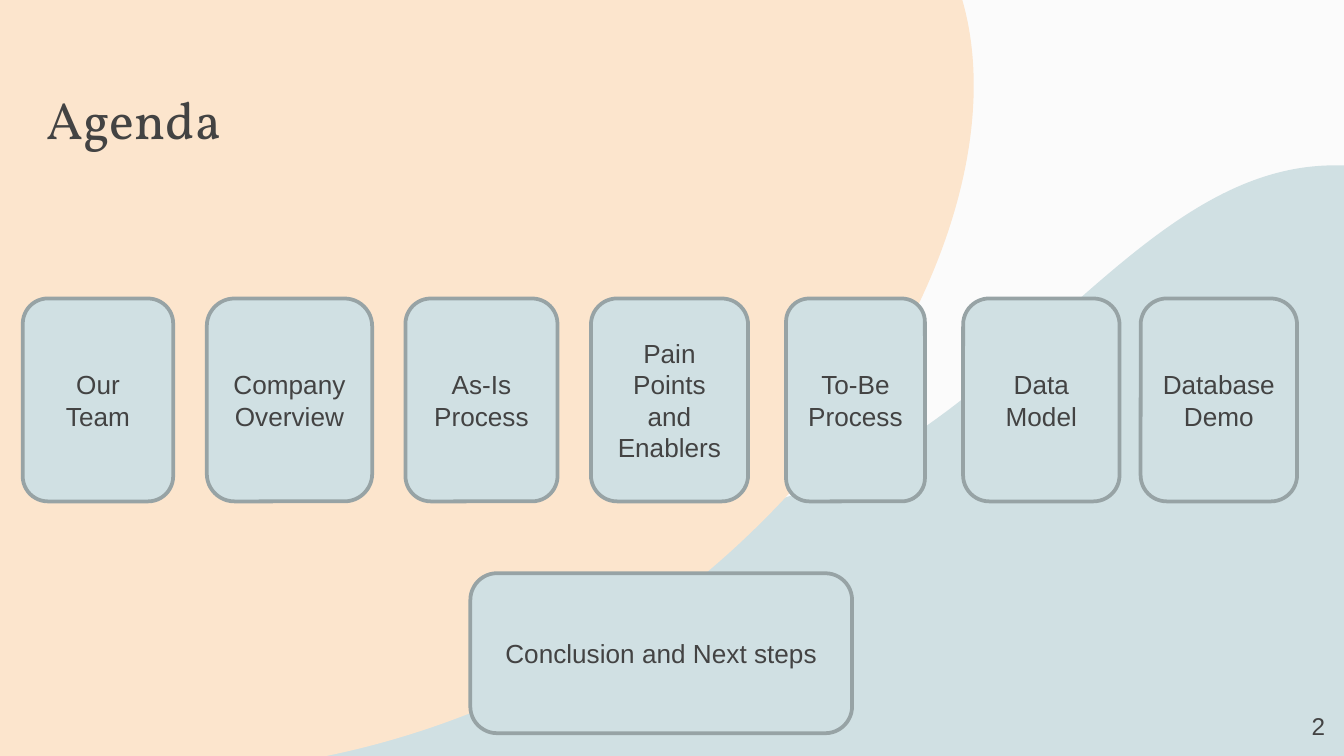
from lxml import etree
from pptx import Presentation
from pptx.dml.color import RGBColor
from pptx.enum.shapes import MSO_SHAPE
from pptx.enum.text import MSO_ANCHOR, MSO_AUTO_SIZE, PP_ALIGN
from pptx.oxml.ns import qn
from pptx.util import Pt

ROUNDED = MSO_SHAPE.ROUNDED_RECTANGLE
TOP, MIDDLE = MSO_ANCHOR.TOP, MSO_ANCHOR.MIDDLE
LEFT, CENTER, RIGHT = PP_ALIGN.LEFT, PP_ALIGN.CENTER, PP_ALIGN.RIGHT
NO_AUTOFIT = MSO_AUTO_SIZE.NONE

WIDTH, HEIGHT = 720, 405
PAPER, PEACH, MIST, SLATE, INK = "FBFBFB", "FCE5CD", "D0E0E3", "97A3A5", "434343"
ROW_TOP, ROW_HEIGHT = 159.9, 108.7

TOPICS = [
    ("Our Team", 12.2, 80.6),
    ("Company Overview", 110.8, 88.6),
    ("As-Is Process", 217.2, 81.5),
    ("Pain Points and Enablers", 316.6, 84.2),
    ("To-Be Process", 421.1, 74.4),
    ("Data Model", 516, 83.8),
    ("Database Demo", 611.1, 83.8),
]

MIST_HILL = [
    [(715, 88.6)],
    [(609.8, 88.6), (544.3, 228.2), (421.2, 266.4)],
    [(398.9, 272.9), (378.7, 275.8), (360.7, 275.8)],
    [(254.9, 275.8), (205.9, 175), (54, 161.3)],
    [(46.1, 160.6), (38.2, 160.6), (30.2, 160.6)],
    [(19.4, 160.6), (9.4, 161.3), (0, 162)],
    [(0, HEIGHT)],
    [(WIDTH, HEIGHT)],
    [(WIDTH, 88.6)],
    [(718.6, 88.6), (716.4, 88.6), (715, 88.6)],
]
PEACH_BLOB = [
    [(0, 0)],
    [(0, 408.2)],
    [(26.6, 412.6), (53.3, 414.7), (79.9, 414.7)],
    [(197.3, 414.7), (313.9, 370.8), (402.5, 285.1)],
    [(495.4, 195.8), (538.6, 79.9), (515.5, 0)],
]


def color(hex_code):
    """Return the colour for a hex string."""
    return RGBColor.from_string(hex_code)


def bend_lines(blob, segments):
    """Turn each run of three lines that stands for a curve into a cubic curve."""
    lines = iter(list(blob._element.iter(qn("a:lnTo"))))
    for segment in segments[1:]:
        group = [next(lines) for _ in segment]
        if len(group) == 3:
            curve = etree.Element(qn("a:cubicBezTo"))
            group[0].addprevious(curve)
            for line in group:
                curve.append(line[0])
                line.getparent().remove(line)


def add_blob(page, segments, fill):
    """Draw a closed outline of lines and curves."""
    places = [(Pt(x), Pt(y)) for segment in segments for x, y in segment]
    builder = page.shapes.build_freeform(*places[0])
    builder.add_line_segments(places[1:], close=True)
    blob = builder.convert_to_shape()
    bend_lines(blob, segments)
    blob.shadow.inherit = False
    blob.fill.solid()
    blob.fill.fore_color.rgb = color(fill)
    blob.line.fill.background()


def write(box, text, size=14, font="Arial", align=LEFT, anchor=TOP, inset=7.2):
    """Put formatted text in a box."""
    frame = box.text_frame
    frame.word_wrap = True
    frame.auto_size = NO_AUTOFIT
    frame.vertical_anchor = anchor
    frame.margin_left = frame.margin_right = Pt(7.2)
    frame.margin_top = frame.margin_bottom = Pt(inset)
    para = frame.paragraphs[0]
    para.alignment = align
    para.line_spacing = 1
    para.space_before = Pt(0)
    span = para.add_run()
    span.text = text
    span.font.size = Pt(size)
    span.font.name = font
    span.font.color.rgb = color(INK)


def add_title(page, text):
    """Place and format the page title in front of the background."""
    title = page.shapes.title
    title.left, title.top, title.width, title.height = Pt(17.6), Pt(39.6), Pt(498.2), Pt(45.4)
    write(title, text, size=28, font="Vollkorn")
    page.shapes._spTree.append(title._element)


def add_card(page, text, left, top, width, height):
    """Draw a rounded agenda card."""
    card = page.shapes.add_shape(ROUNDED, Pt(left), Pt(top), Pt(width), Pt(height))
    card.adjustments[0] = 0.167
    card.shadow.inherit = False
    card.fill.solid()
    card.fill.fore_color.rgb = color(MIST)
    card.line.color.rgb = color(SLATE)
    card.line.width = Pt(2)
    write(card, text, align=CENTER, anchor=MIDDLE, inset=3.6)


def add_page_number(page, number):
    """Write the page number in the lower right corner."""
    box = page.shapes.add_textbox(Pt(673.7), Pt(373.7), Pt(43.2), Pt(31))
    write(box, number, size=13, align=RIGHT)


def main():
    """Build the agenda page and save the deck."""
    deck = Presentation()
    deck.slide_width, deck.slide_height = Pt(WIDTH), Pt(HEIGHT)
    page = deck.slides.add_slide(deck.slide_layouts[5])
    page.background.fill.solid()
    page.background.fill.fore_color.rgb = color(PAPER)
    add_blob(page, MIST_HILL, MIST)
    add_blob(page, PEACH_BLOB, PEACH)
    add_title(page, "Agenda")
    for text, left, width in TOPICS:
        add_card(page, text, left, ROW_TOP, width, ROW_HEIGHT)
    add_card(page, "Conclusion and Next steps", 252, 307.1, 204.5, 85.7)
    add_page_number(page, "2")
    deck.save("out.pptx")


if __name__ == "__main__":
    main()
